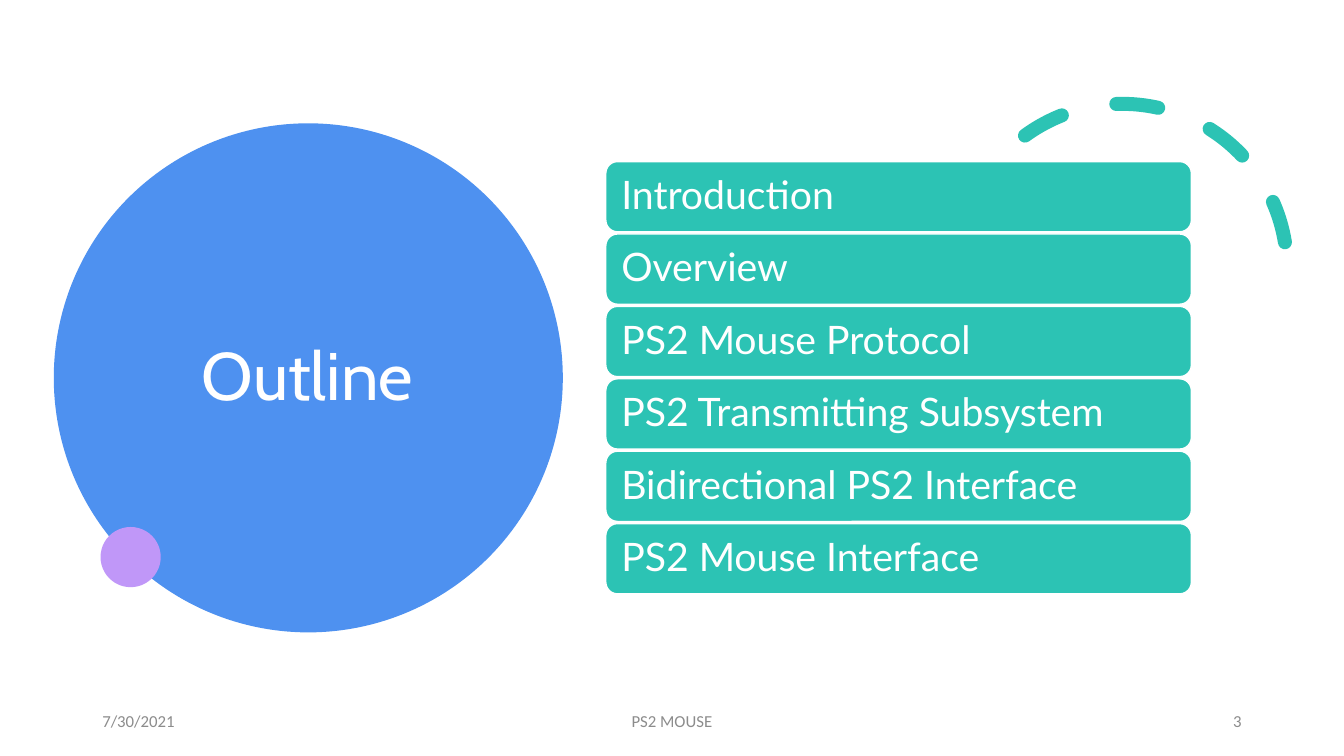
from pptx import Presentation
from pptx.dml.color import RGBColor
from pptx.enum.dml import MSO_LINE
from pptx.enum.shapes import MSO_SHAPE as SHAPE
from pptx.enum.text import MSO_ANCHOR as ANCHOR, PP_ALIGN as ALIGN
from pptx.util import Pt

COLORS = {
    "blue": "4E91F0",
    "teal": "2CC3B4",
    "purple": "C097F8",
    "white": "FFFFFF",
    "gray": "8C8C8C",
}
TOPICS = [
    "Introduction",
    "Overview",
    "PS2 Mouse Protocol",
    "PS2 Transmitting Subsystem",
    "Bidirectional PS2 Interface",
    "PS2 Mouse Interface",
]
BAR_LEFT, BAR_TOP, BAR_WIDTH, BAR_HEIGHT = 432.7, 115.4, 418.3, 50.2
BAR_PITCH = 51.72
BAR_INSET = 8.64


def rgb(name):
    return RGBColor.from_string(COLORS[name])


def set_text(sp, text, font, size, color, align=ALIGN.LEFT, spacing=1.0):
    tf = sp.text_frame
    tf.word_wrap = True
    tf.vertical_anchor = ANCHOR.MIDDLE
    tf.text = text
    p = tf.paragraphs[0]
    p.alignment = align
    p.line_spacing = spacing
    r = p.runs[0]
    r.font.name = font
    r.font.size = Pt(size)
    r.font.color.rgb = rgb(color)


def add_text(s, box, *args, **kwargs):
    sp = s.shapes.add_textbox(*map(Pt, box))
    set_text(sp, *args, **kwargs)


def add_shape(s, kind, box, fill):
    sp = s.shapes.add_shape(kind, *map(Pt, box))
    sp.shadow.inherit = False
    sp.fill.solid()
    sp.fill.fore_color.rgb = rgb(fill)
    sp.line.fill.background()
    return sp


def add_dashed_arc(s, box):
    sp = s.shapes.add_shape(SHAPE.ARC, *map(Pt, box))
    sp.shadow.inherit = False
    sp.adjustments[0] = 158.174
    sp.adjustments[1] = 17.814
    sp.rotation = 330.2
    sp.fill.background()
    sp.line.color.rgb = rgb("teal")
    sp.line.width = Pt(10)
    sp.line.dash_style = MSO_LINE.DASH
    sp.line._get_or_add_ln().set("cap", "rnd")


def add_topic(s, index, topic):
    top = BAR_TOP + index * BAR_PITCH
    sp = add_shape(s, SHAPE.ROUNDED_RECTANGLE,
                   (BAR_LEFT, top, BAR_WIDTH, BAR_HEIGHT), "teal")
    sp.line.color.rgb = rgb("white")
    sp.line.width = Pt(1)
    tf = sp.text_frame
    tf.margin_left = tf.margin_right = Pt(BAR_INSET)
    tf.margin_top = tf.margin_bottom = Pt(BAR_INSET)
    set_text(sp, topic, "Lato", 28, "white", spacing=0.9)


def add_footer(s, left, width, text, align):
    add_text(s, (left, 500.5, width, 28.75), text, "Calibri", 12, "gray", align)


def main():
    prs = Presentation()
    prs.slide_width, prs.slide_height = Pt(960), Pt(540)
    s = prs.slides.add_slide(prs.slide_layouts[6])

    add_shape(s, SHAPE.OVAL, (38.4, 88.1, 363.6, 363.6), "blue")
    add_dashed_arc(s, (684, 74.2, 235.4, 235.4))
    add_shape(s, SHAPE.OVAL, (71.8, 376.4, 43, 43), "purple")
    add_text(s, (92.2, 110.2, 254.9, 320.4), "Outline", "Cabin", 48, "white",
             ALIGN.CENTER, spacing=0.9)

    for index, topic in enumerate(TOPICS):
        add_topic(s, index, topic)

    add_footer(s, 66, 216, "7/30/2021", ALIGN.LEFT)
    add_footer(s, 318, 324, "PS2 MOUSE", ALIGN.CENTER)
    add_footer(s, 678, 216, "3", ALIGN.RIGHT)
    prs.save("out.pptx")


if __name__ == "__main__":
    main()
